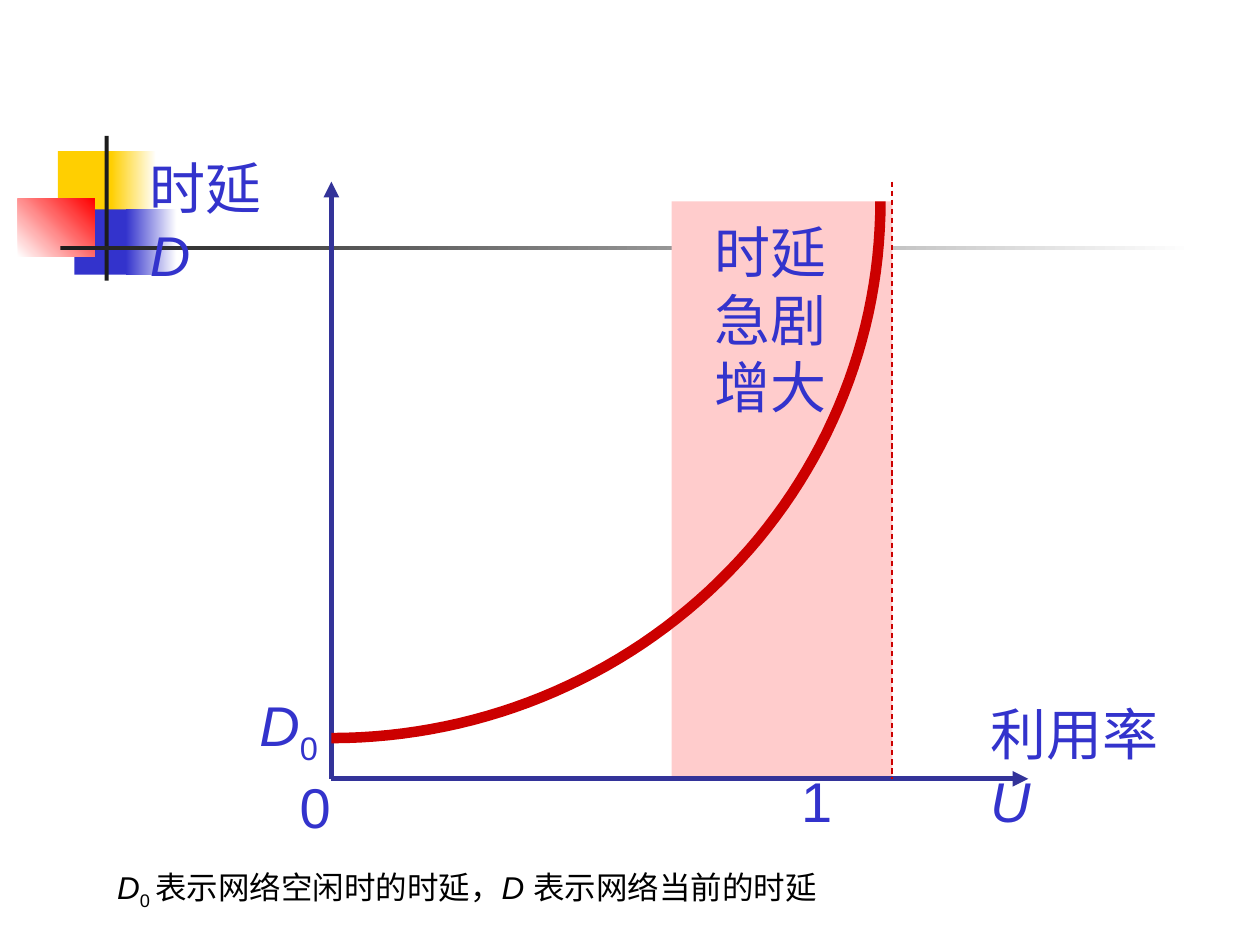
from dataclasses import dataclass
from math import cos, pi, sin
from typing import Optional

from lxml.etree import SubElement
from pptx import Presentation
from pptx.dml.color import RGBColor
from pptx.enum.dml import MSO_LINE
from pptx.enum.shapes import MSO_CONNECTOR, MSO_SHAPE
from pptx.oxml.ns import qn
from pptx.util import Cm, Pt

WHITE = RGBColor(0xFF, 0xFF, 0xFF)
BLACK = RGBColor(0x00, 0x00, 0x00)
YELLOW = RGBColor(0xFF, 0xCF, 0x01)
BLUE = RGBColor(0x33, 0x33, 0xCC)
NAVY = RGBColor(0x33, 0x33, 0x99)
RED = RGBColor(0xFF, 0x00, 0x00)
DARK_RED = RGBColor(0xCC, 0x00, 0x00)
PINK = RGBColor(0xFF, 0xCC, 0xCC)
CHARCOAL = RGBColor(0x1C, 0x1C, 0x1C)

# Chart geometry in centimetres
ORIGIN_X, ORIGIN_Y = 6.68, 15.7
AXIS_TOP, AXIS_RIGHT = 3.66, 20.73
LIMIT_X = 17.98
CURVE_TOP, CURVE_WIDTH, CURVE_HEIGHT = 4.06, 11.07, 10.82
CURVE_STEPS = 60


@dataclass
class Block:
    left: float
    top: float
    width: float
    height: float
    color: RGBColor
    fade_to: Optional[RGBColor] = None
    angle: float = 0


@dataclass
class Run:
    text: str
    italic: bool = False
    subscript: bool = False
    size: Optional[float] = None


BLOCKS = [
    # Corner ornament and title rule
    Block(1.17, 3.05, 1.22, 1.32, YELLOW),
    Block(2.24, 3.05, 0.91, 1.32, YELLOW, WHITE),
    Block(1.5, 4.22, 1.17, 1.32, BLUE),
    Block(2.54, 4.22, 1.02, 1.32, BLUE, WHITE),
    Block(0.36, 4.01, 1.55, 1.17, WHITE, RED, 45),
    Block(2.11, 2.74, 0.08, 2.92, CHARCOAL),
    Block(1.22, 4.95, 22.86, 0.09, CHARCOAL, WHITE),
    # Zone of steeply rising delay
    Block(13.54, CURVE_TOP, 4.45, 11.63, PINK),
]


def draw_block(slide, block: Block) -> None:
    shape = slide.shapes.add_shape(
        MSO_SHAPE.RECTANGLE,
        Cm(block.left), Cm(block.top), Cm(block.width), Cm(block.height))
    shape.shadow.inherit = False
    shape.line.fill.background()
    if block.fade_to is None:
        shape.fill.solid()
        shape.fill.fore_color.rgb = block.color
        return
    shape.fill.gradient()
    shape.fill.gradient_angle = block.angle
    for stop, color in zip(shape.fill.gradient_stops, (block.color, block.fade_to)):
        stop.color.rgb = color


def draw_line(slide, start: tuple[float, float], end: tuple[float, float],
              color: RGBColor, width: float, arrow: bool = False,
              dashed: bool = False) -> None:
    connector = slide.shapes.add_connector(
        MSO_CONNECTOR.STRAIGHT, *(Cm(value) for value in start + end))
    connector.line.color.rgb = color
    connector.line.width = Pt(width)
    if dashed:
        connector.line.dash_style = MSO_LINE.DASH
    if arrow:
        SubElement(connector.line._get_or_add_ln(), qn("a:tailEnd"), type="triangle")
    SubElement(connector._element.spPr, qn("a:effectLst"))


def draw_curve(slide) -> None:
    """Quarter ellipse from D0 on the delay axis up to full utilisation."""
    angles = [pi / 2 * step / CURVE_STEPS for step in range(CURVE_STEPS + 1)]
    points = [(Cm(ORIGIN_X + CURVE_WIDTH * sin(angle)),
               Cm(CURVE_TOP + CURVE_HEIGHT * cos(angle))) for angle in angles]
    builder = slide.shapes.build_freeform(*points[0])
    builder.add_line_segments(points[1:], close=False)
    curve = builder.convert_to_shape()
    curve.shadow.inherit = False
    curve.fill.background()
    curve.line.color.rgb = DARK_RED
    curve.line.width = Pt(6)


def add_text(slide, paragraphs: list[list[Run]], *, left: float, top: float,
             width: float, height: float = 1.6, size: float = 32,
             color: RGBColor = BLUE, wrap: bool = False) -> None:
    box = slide.shapes.add_textbox(Cm(left), Cm(top), Cm(width), Cm(height))
    frame = box.text_frame
    frame.word_wrap = wrap
    for index, runs in enumerate(paragraphs):
        para = frame.add_paragraph() if index else frame.paragraphs[0]
        for run in runs:
            span = para.add_run()
            span.text = run.text
            span.font.name = "Arial"
            span.font.size = Pt(run.size or size)
            span.font.italic = run.italic
            span.font.color.rgb = color
            if run.subscript:
                span.font._element.set("baseline", "-25000")


def main() -> None:
    deck = Presentation()
    deck.slide_width, deck.slide_height = Cm(25.4), Cm(19.05)
    page = deck.slides.add_slide(deck.slide_layouts[6])

    for block in BLOCKS:
        draw_block(page, block)

    # Axes, utilisation limit and delay curve
    origin = (ORIGIN_X, ORIGIN_Y)
    draw_line(page, origin, (ORIGIN_X, AXIS_TOP), NAVY, 3, arrow=True)
    draw_line(page, origin, (AXIS_RIGHT, ORIGIN_Y), NAVY, 3, arrow=True)
    draw_line(page, (LIMIT_X, AXIS_TOP), (LIMIT_X, ORIGIN_Y), DARK_RED, 0.75, dashed=True)
    draw_curve(page)

    # Axis titles; the symbol wraps below the name
    add_text(page, [[Run("时延"), Run(" ", size=16), Run("D", italic=True)]],
             left=2.77, top=2.97, width=3.4, wrap=True)
    add_text(page, [[Run("利用率"), Run(" ", size=16), Run("U", italic=True)]],
             left=19.71, top=13.97, width=4.75, wrap=True)

    # Axis values and zone label
    add_text(page, [[Run("1")]], left=15.9, top=15.32, width=1.14)
    add_text(page, [[Run("0")]], left=5.79, top=15.44, width=1.14)
    add_text(page, [[Run("D", italic=True), Run("0", subscript=True)]],
             left=4.98, top=13.79, width=1.73)
    add_text(page, [[Run(line)] for line in ("时延", "急剧", "增大")],
             left=14.15, top=4.27, width=2.77, height=4.32)

    # Explanation of the symbols
    add_text(page, [[Run("D", italic=True), Run("0 ", subscript=True),
                     Run("表示网络空闲时的时延，"), Run("D ", italic=True),
                     Run("表示网络当前的时延")]],
             left=2.11, top=17.37, width=19.41, height=1.02,
             size=18, color=BLACK, wrap=True)

    deck.save("out.pptx")


if __name__ == "__main__":
    main()
